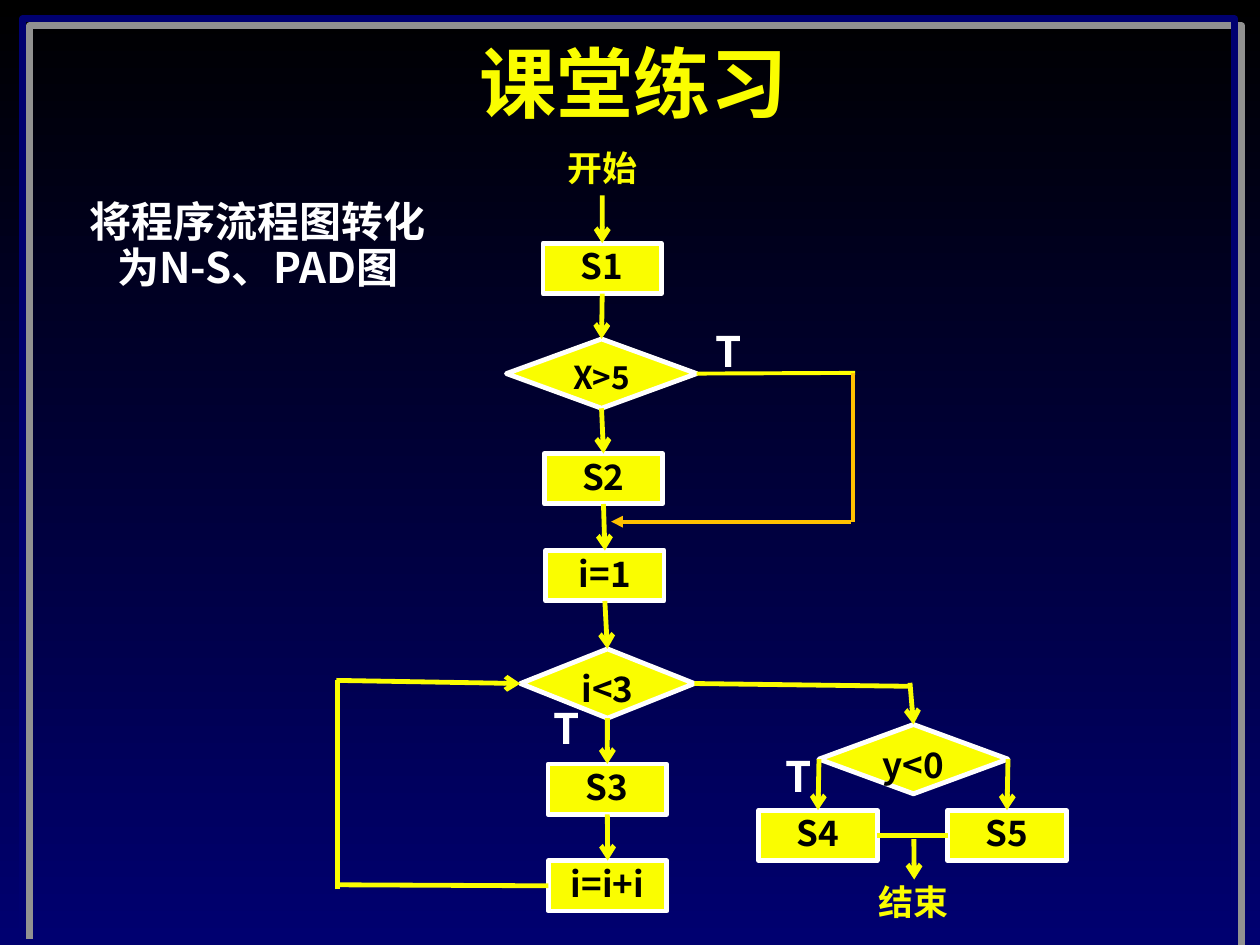
"""Build the classroom exercise slide with a program flowchart."""
from lxml import etree
from pptx import Presentation
from pptx.dml.color import RGBColor
from pptx.enum import shapes, text
from pptx.oxml import ns
from pptx.util import Pt

FONT = "Noto Sans CJK SC"
YELLOW, WHITE, BLACK, NAVY = "FAFD00", "FFFFFF", "000000", "000070"
ORANGE = "FFC000"
TOP, LEFT, BOTTOM, RIGHT = range(4)
STEP_WIDTH, STEP_HEIGHT, DECISION_HEIGHT = 67.7, 28.8, 39.6


def paint(color_format, color):
    """Apply a hex colour to a colour format."""
    color_format.rgb = RGBColor.from_string(color)


def add_element(parent, tag, **attributes):
    """Append a drawing element and return it."""
    return etree.SubElement(parent, ns.qn(tag), attributes)


def write(frame, content, size, color, before=0, anchor=text.MSO_ANCHOR.TOP):
    """Write one centred bold line into a text frame."""
    frame.word_wrap = True
    frame.vertical_anchor = anchor
    para = frame.paragraphs[0]
    para.alignment = text.PP_ALIGN.CENTER
    para.line_spacing = 0.9
    para.space_before = Pt(before)
    span = para.add_run()
    span.text = content
    span.font.name = FONT
    span.font.size = Pt(size)
    span.font.bold = True
    paint(span.font.color, color)
    add_element(span.font._element, "a:ea", typeface=FONT)


def set_background(page):
    """Fill the page with a vertical black to navy gradient."""
    fill = page.background.fill
    fill.gradient()
    fill.gradient_angle = 270
    for stop, color in zip(fill.gradient_stops, (BLACK, NAVY)):
        paint(stop.color, color)


def add_frame(page):
    """Add the border with its thin grey shadow."""
    box = page.shapes.add_shape(shapes.MSO_SHAPE.RECTANGLE,
                                Pt(13), Pt(10.8), Pt(692.6), Pt(527.8))
    box.fill.background()
    box.line.width = Pt(4)
    paint(box.line.color, NAVY)
    effects = add_element(box._element.spPr, "a:effectLst")
    shadow = add_element(effects, "a:outerShdw", dist="71842", dir="2700000",
                         algn="ctr", rotWithShape="0")
    add_element(shadow, "a:srgbClr", val="919191")


def add_title(page, content):
    """Move and fill the title placeholder."""
    title = page.shapes.title
    title.left, title.top, title.width, title.height = Pt(56.2), Pt(20.2), Pt(612), Pt(59.8)
    write(title.text_frame, content, 44, YELLOW, anchor=text.MSO_ANCHOR.MIDDLE)


def add_label(page, content, left, top, width, height, size, color):
    """Add a free text label."""
    box = page.shapes.add_textbox(Pt(left), Pt(top), Pt(width), Pt(height))
    box.text_frame.auto_size = text.MSO_AUTO_SIZE.SHAPE_TO_FIT_TEXT
    write(box.text_frame, content, size, color, size / 2)


def add_node(page, kind, content, left, top, width, height, size, anchor):
    """Add a yellow flowchart node with a white outline."""
    box = page.shapes.add_shape(kind, Pt(left), Pt(top), Pt(width), Pt(height))
    box.shadow.inherit = False
    box.fill.solid()
    paint(box.fill.fore_color, YELLOW)
    box.line.width = Pt(2.75)
    paint(box.line.color, WHITE)
    write(box.text_frame, content, size, BLACK, size / 2, anchor)
    return box


def add_step(page, content, left, top):
    """Add a process rectangle."""
    return add_node(page, shapes.MSO_SHAPE.RECTANGLE, content, left, top,
                    STEP_WIDTH, STEP_HEIGHT, 20, text.MSO_ANCHOR.MIDDLE)


def add_decision(page, content, left, top, width, size=20):
    """Add a decision diamond."""
    return add_node(page, shapes.MSO_SHAPE.FLOWCHART_DECISION, content, left, top,
                    width, DECISION_HEIGHT, size, text.MSO_ANCHOR.TOP)


def add_line(page, start, end, head=None, color=YELLOW, width=2.75):
    """Draw a line between ends given as (x, y) or (node, side)."""
    joined = [not isinstance(point[0], (int, float)) for point in (start, end)]
    places = [(0, 0) if join else point for join, point in zip(joined, (start, end))]
    line = page.shapes.add_connector(shapes.MSO_CONNECTOR.STRAIGHT,
                                     *(Pt(value) for place in places for value in place))
    if joined[0]:
        line.begin_connect(*start)
    if joined[1]:
        line.end_connect(*end)
    line.line.width = Pt(width)
    paint(line.line.color, color)
    if head:
        add_element(line.line._get_or_add_ln(), "a:tailEnd", type=head)
    add_element(line._element.spPr, "a:effectLst")


def add_flowchart(page):
    """Add the nodes and the flow lines between them."""
    first = add_step(page, "S1", 310.3, 139)
    test_x = add_decision(page, "X>5", 289.4, 193.7, 108.7, 18)
    second = add_step(page, "S2", 311, 259.2)
    start_loop = add_step(page, "i=1", 311.8, 314.6)
    test_i = add_decision(page, "i<3", 297.4, 370.8, 99.4)
    third = add_step(page, "S3", 313.2, 436.6)
    count = add_step(page, "i=i+i", 313.4, 491.8)
    test_y = add_decision(page, "y<0", 468, 414, 108)
    fourth = add_step(page, "S4", 433.6, 463)
    fifth = add_step(page, "S5", 541.6, 463)

    column = [first, test_x, second, start_loop, test_i, third, count]
    add_line(page, (344.2, 111.6), (first, TOP), "arrow")
    for upper, lower in zip(column, column[1:]):
        add_line(page, (upper, BOTTOM), (lower, TOP), "arrow")

    add_line(page, (191.5, 505.6), (count, LEFT))
    add_line(page, (192.7, 508.3), (192.7, 388.8))
    add_line(page, (192.2, 388.8), (test_i, LEFT), "arrow")

    add_line(page, (test_i, RIGHT), (520, 392.2))
    add_line(page, (520, 390.2), (test_y, TOP), "arrow")
    add_line(page, (test_y, LEFT), (fourth, TOP), "arrow")
    add_line(page, (test_y, RIGHT), (fifth, TOP), "arrow")
    add_line(page, (fourth, RIGHT), (fifth, LEFT))
    add_line(page, (522.2, 479.5), (522.4, 502.6), "arrow")

    add_line(page, (test_x, RIGHT), (488.6, 213.1), color="FFFF00", width=2.25)
    add_line(page, (487.6, 213.1), (487.6, 298.1), color=ORANGE, width=2.25)
    add_line(page, (486, 298.1), (349.2, 298.1), "triangle", ORANGE, 2.25)


def main():
    """Build and save the deck."""
    deck = Presentation()
    deck.slide_width, deck.slide_height = Pt(720), Pt(540)
    page = deck.slides.add_slide(deck.slide_layouts[5])
    set_background(page)
    add_frame(page)
    add_title(page, "课堂练习")
    add_label(page, "将程序流程图转化为N-S、PAD图", 42.5, 111.6, 209.5, 59, 24, WHITE)
    add_flowchart(page)
    for content, left, top in (("开始", 313.2, 82.8), ("结束", 491, 502.6)):
        add_label(page, content, left, top, 62.6, 28.8, 20, YELLOW)
    for left, top in ((393.8, 185.8), (301, 401), (433.4, 428.4)):
        add_label(page, "T", left, top, 45.4, 33.1, 24, WHITE)
    deck.save("out.pptx")


if __name__ == "__main__":
    main()
